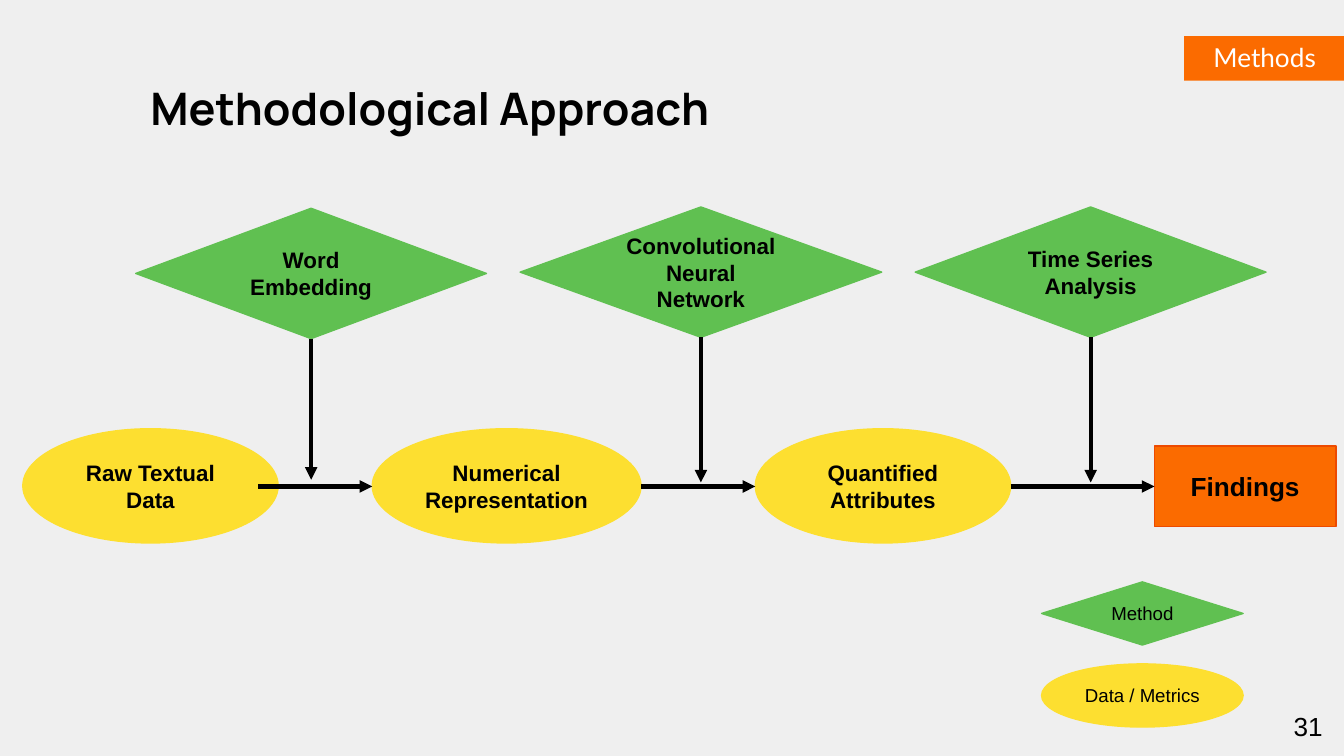
from dataclasses import dataclass

from lxml import etree
from pptx import Presentation
from pptx import util as u
from pptx.dml.color import RGBColor
from pptx.enum import shapes, text
from pptx.oxml.ns import qn

WIDTH, HEIGHT = u.Inches(10), u.Inches(5.625)
UNIT = WIDTH / 100

BLACK, WHITE, GREY = "000000", "FFFFFF", "EFEFEF"
GREEN, YELLOW, ORANGE, RUST = "60C051", "FDDF30", "FB6B00", "ED4A00"

DIAMOND = shapes.MSO_SHAPE.DIAMOND
OVAL = shapes.MSO_SHAPE.OVAL
RECTANGLE = shapes.MSO_SHAPE.RECTANGLE
BOTTOM, LEFT = 2, 1


@dataclass
class Box:
    col: float
    row: float
    cols: float
    rows: float

    @property
    def right(self):
        return self.col + self.cols

    @property
    def middle(self):
        return self.col + self.cols / 2

    @property
    def bottom(self):
        return self.row + self.rows


@dataclass
class Style:
    size: float
    bold: bool = False
    font: str = "Arial"
    color: str = BLACK
    align: text.PP_ALIGN = text.PP_ALIGN.CENTER
    anchor: text.MSO_ANCHOR = text.MSO_ANCHOR.MIDDLE


@dataclass
class Node:
    label: str
    kind: shapes.MSO_SHAPE
    box: Box
    fill: str
    line: str
    style: Style


def grid(n: float) -> int:
    return round(n * UNIT)


def place(box: Box) -> list:
    return [grid(n) for n in (box.col, box.row, box.cols, box.rows)]


def rgb(value: str) -> RGBColor:
    return RGBColor.from_string(value)


def write(sp, label: str, style: Style) -> None:
    tf = sp.text_frame
    tf.text = label
    tf.word_wrap = True
    tf.vertical_anchor = style.anchor
    tf.margin_left = tf.margin_right = tf.margin_top = tf.margin_bottom = u.Inches(0.1)
    p = tf.paragraphs[0]
    p.alignment = style.align
    for r in p.runs:
        r.font.name = style.font
        r.font.size = u.Pt(style.size)
        r.font.bold = style.bold
        r.font.color.rgb = rgb(style.color)


def add_text(s, label: str, box: Box, style: Style) -> None:
    write(s.shapes.add_textbox(*place(box)), label, style)


def add_block(s, kind, box: Box, fill: str, line: str = ""):
    sp = s.shapes.add_shape(kind, *place(box))
    sp.shadow.inherit = False
    sp.fill.solid()
    sp.fill.fore_color.rgb = rgb(fill)
    if line:
        sp.line.color.rgb = rgb(line)
        sp.line.width = u.Pt(0.75)
    else:
        sp.line.fill.background()
    return sp


def add_node(s, node: Node):
    sp = add_block(s, node.kind, node.box, node.fill, node.line)
    write(sp, node.label, node.style)
    return sp


def add_arrow(s, x1: float, y1: float, x2: float, y2: float):
    line = s.shapes.add_connector(
        shapes.MSO_CONNECTOR.STRAIGHT, grid(x1), grid(y1), grid(x2), grid(y2))
    line.line.color.rgb = rgb(BLACK)
    line.line.width = u.Pt(2.25)
    ln = line.line._get_or_add_ln()
    etree.SubElement(ln, qn("a:tailEnd"), type="triangle")
    etree.SubElement(line._element.spPr, qn("a:effectLst"))
    return line


def main() -> None:
    prs = Presentation()
    prs.slide_width, prs.slide_height = WIDTH, HEIGHT
    s = prs.slides.add_slide(prs.slide_layouts[6])
    s.background.fill.solid()
    s.background.fill.fore_color.rgb = rgb(GREY)

    top, left, right = text.MSO_ANCHOR.TOP, text.PP_ALIGN.LEFT, text.PP_ALIGN.RIGHT
    add_text(s, "31", Box(93.4, 51.9, 6, 4.3), Style(14, align=right))
    add_block(s, RECTANGLE, Box(88.1, 2.7, 11.9, 3.3), ORANGE)
    add_text(s, "Methods", Box(89.3, 2.1, 10.8, 6),
             Style(14, font="Lato", color=WHITE, align=left, anchor=top))
    add_text(s, "Methodological Approach", Box(10.2, 5, 80.8, 7.5),
             Style(24, True, "Manrope", align=left, anchor=top))

    step, key = Style(12, True), Style(10)
    data = [
        Node(label, OVAL, Box(col, 31.9, cols, 8.5), YELLOW, YELLOW, step)
        for label, col, cols in (
            ("Raw Textual Data", 1.7, 19),
            ("Numerical Representation", 27.7, 20),
            ("Quantified Attributes", 56.2, 19))
    ]
    methods = [
        Node(label, DIAMOND, Box(col, row, cols, 9.7), GREEN, GREEN, step)
        for label, col, row, cols in (
            ("Word Embedding", 10.1, 15.5, 26.1),
            ("Convolutional Neural Network", 38.7, 15.4, 26.9),
            ("Time Series Analysis", 68.1, 15.4, 26.1))
    ]
    findings = Node("Findings", RECTANGLE, Box(85.9, 33.2, 13.5, 6),
                    ORANGE, RUST, Style(14, True))
    legend = [
        Node("Method", DIAMOND, Box(77.5, 43.3, 15, 4.7), GREEN, GREEN, key),
        Node("Data / Metrics", OVAL, Box(77.5, 49.4, 15, 4.7), YELLOW, YELLOW, key),
    ]

    for node in data + legend:
        add_node(s, node)
    diamonds = [add_node(s, node) for node in methods]
    result = add_node(s, findings)

    flow = 36.2
    starts = [19.2] + [node.box.right for node in data[1:]]
    ends = [node.box.col for node in data[1:] + [findings]]
    arrows = [add_arrow(s, x1, flow, x2, flow) for x1, x2 in zip(starts, ends)]
    arrows[-1].end_connect(result, LEFT)

    for node, diamond, tip in zip(methods, diamonds, (35.7, 35.9, 35.9)):
        box = node.box
        arrow = add_arrow(s, box.middle, box.bottom, box.middle, tip)
        arrow.begin_connect(diamond, BOTTOM)

    prs.save("out.pptx")


if __name__ == "__main__":
    main()
